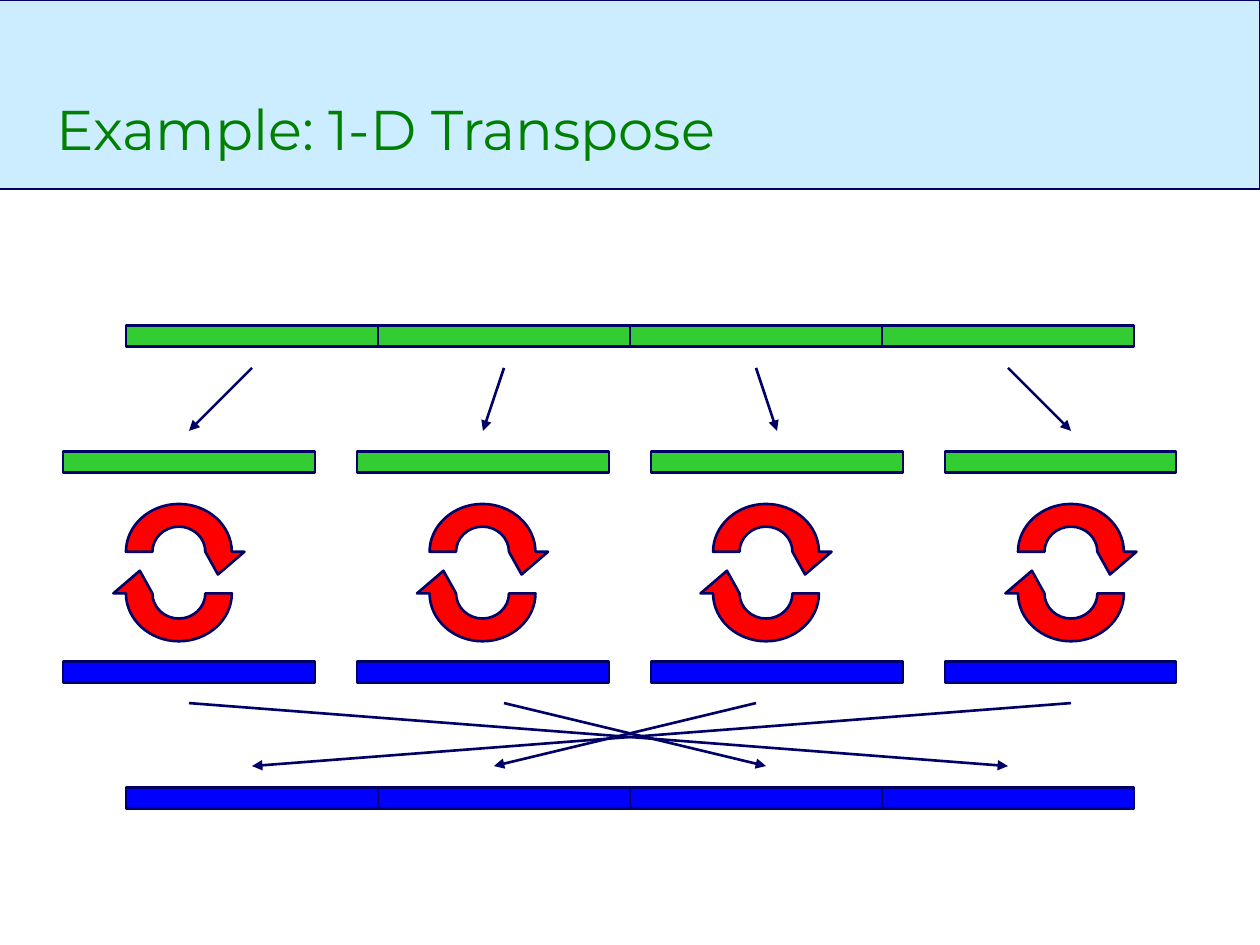
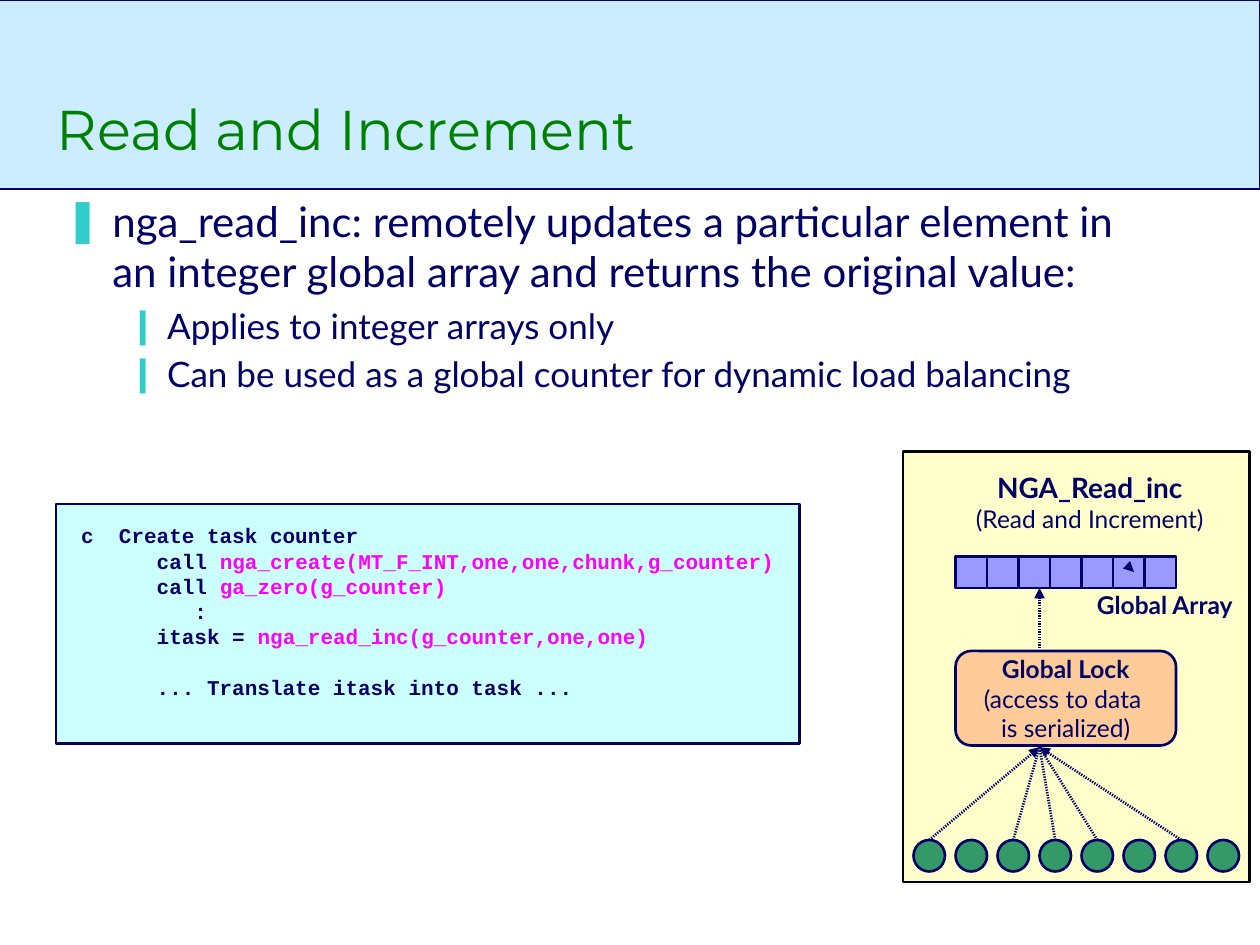
"""Build two slides on global arrays: a 1-D transpose and read-and-increment."""
from typing import Any, NamedTuple, Optional

from lxml import etree
from pptx import Presentation
from pptx import util as u
from pptx.dml import color
from pptx.enum import shapes, text
from pptx.oxml import ns

HUES = {
    "navy": "000066", "black": "000000", "title": "008000", "band": "CCECFF",
    "green": "33CC33", "blue": "0000FF", "red": "FF0000", "bullet": "33CCCC",
    "code": "CCFFFF", "call": "FF00FF", "panel": "FFFFCC", "cell": "9999FF",
    "task": "339966", "lock": "FFCC99",
}
KIND = shapes.MSO_SHAPE
INSETS = ("margin_left", "margin_top", "margin_right", "margin_bottom")
BAR = 1 / 6
STEP = 7 / 3
BEND = 0.55


class Box(NamedTuple):
    """A filled, outlined preset shape."""
    left: float
    top: float
    width: float
    height: float
    fill: Optional[str]
    kind: Any = KIND.RECTANGLE
    edge: str = "navy"


class Wire(NamedTuple):
    """A straight line with an optional arrowhead and dots."""
    start: tuple
    end: tuple
    arrow: bool = True
    dots: bool = False


class Run(NamedTuple):
    """A piece of text with its look."""
    words: str
    size: float
    font: str = "Lato"
    hue: str = "navy"
    bold: bool = False


def shade(hue: str) -> color.RGBColor:
    """Return a named colour."""
    return color.RGBColor.from_string(HUES[hue])


def assign(item: Any, values: dict) -> None:
    """Set each named value on an item."""
    for name, value in values.items():
        setattr(item, name, value)


def ink(item: Any, fill: str, edge: str = "navy") -> Any:
    """Fill and outline a shape without a shadow."""
    item.shadow.inherit = False
    item.fill.solid()
    item.fill.fore_color.rgb = shade(fill)
    item.line.color.rgb = shade(edge)
    item.line.width = u.Pt(1.5)
    return item


def draw(parts: Any, box: Box) -> Any:
    """Add a preset shape."""
    place = map(u.Inches, box[:4])
    return ink(parts.add_shape(box.kind, *place), box.fill, box.edge)


def link(parts: Any, wire: Wire) -> Any:
    """Add a straight line or arrow."""
    ends = map(u.Inches, wire.start + wire.end)
    line = parts.add_connector(shapes.MSO_CONNECTOR.STRAIGHT, *ends)
    line.line.color.rgb = shade("navy")
    line.line.width = u.Pt(1.5)
    frame = line.element.spPr
    stroke = frame.find(ns.qn("a:ln"))
    if wire.dots:
        dash = etree.SubElement(stroke, ns.qn("a:custDash"))
        etree.SubElement(dash, ns.qn("a:ds"), d="50000", sp="50000")
    if wire.arrow:
        etree.SubElement(stroke, ns.qn("a:tailEnd"), type="triangle")
    etree.SubElement(frame, ns.qn("a:effectLst"))
    return line


def write(item: Any, lines: list, pads: tuple, align: Any = text.PP_ALIGN.LEFT,
          anchor: Any = text.MSO_ANCHOR.TOP) -> Any:
    """Fill a text frame with paragraphs of runs."""
    frame = item.text_frame
    assign(frame, {"word_wrap": True, "auto_size": text.MSO_AUTO_SIZE.NONE,
                   "vertical_anchor": anchor, **dict(zip(INSETS, map(u.Inches, pads)))})
    for i, runs in enumerate(lines):
        para = frame.add_paragraph() if i else frame.paragraphs[0]
        assign(para, {"alignment": align, "space_before": u.Pt(0)})
        for run in runs:
            piece = para.add_run()
            piece.text = run.words
            assign(piece.font, {"size": u.Pt(run.size), "name": run.font, "bold": run.bold})
            piece.font.color.rgb = shade(run.hue)
    return frame


def move(item: Any, *place: float) -> None:
    """Put an item at left, top, width and height in inches."""
    assign(item, dict(zip(("left", "top", "width", "height"), map(u.Inches, place))))


def start(deck: Any, layout: int, words: str) -> Any:
    """Add a slide with its title."""
    slide = deck.slides.add_slide(deck.slide_layouts[layout])
    title = slide.shapes.title
    move(title, 0.35, 0.25, 8.31, 1.08)
    write(title, [[Run(words, 32, "Montserrat", "title")]], (0.1, 0.05, 0.1, 0.05),
          anchor=text.MSO_ANCHOR.BOTTOM)
    return slide


def band(deck: Any, parts: Any) -> None:
    """Put the title band on the slide master."""
    strip = draw(parts, Box(-0.03, 0, 10.03, 1.5, "band"))
    deck.slide_master.placeholders[0].element.addprevious(strip.element)


def whole(parts: Any, top: float, fill: str) -> None:
    """Draw a full array split in four."""
    draw(parts, Box(1, top, 8, BAR, fill))
    for x in (3, 5, 7):
        link(parts, Wire((x, top), (x, top + BAR), arrow=False))


def arch(wide: float, high: float) -> list:
    """Return the ends and handles of a half ellipse, from right to left."""
    right = [(wide, 0), (wide, -BEND * high), (BEND * wide, -high)]
    return right + [(0, -high)] + [(-x, y) for x, y in reversed(right)]


def curve(item: Any, first: int) -> None:
    """Join three line steps of an outline into one curve."""
    steps = list(item.element.iter(ns.qn("a:lnTo"), ns.qn("a:cubicBezTo")))
    bend = etree.Element(ns.qn("a:cubicBezTo"))
    steps[first].addprevious(bend)
    for step in steps[first:first + 3]:
        bend.append(step[0])
        step.getparent().remove(step)


def turn(parts: Any, x: float, y: float, sign: int) -> None:
    """Draw a half-ring arrow, turned upside down if the sign is -1."""
    head = [(0.52, 0), (0.31, 0.18), (0.1, 0)]
    marks = arch(0.21, 0.2) + arch(0.42, 0.38)[::-1] + head
    spots = [(u.Inches(x + sign * dx), u.Inches(y + sign * dy)) for dx, dy in marks]
    outline = parts.build_freeform(*spots[0])
    outline.add_line_segments(spots[1:-1], close=True)
    item = ink(outline.convert_to_shape(), "red")
    for first in (0, 1, 3, 4):
        curve(item, first)


def transpose(deck: Any) -> None:
    """Build the transpose slide."""
    parts = start(deck, 5, "Example: 1-D Transpose").shapes
    band(deck, parts)
    whole(parts, 31 / 12, "green")
    for top, fill in ((43 / 12, "green"), (5.25, "blue")):
        for i in range(4):
            draw(parts, Box(0.5 + i * STEP, top, 2 if i < 3 else 11 / 6, BAR, fill))
    for x in (1.42, 3.83, 6.08, 8.5):
        turn(parts, x, 4.38, 1)
        turn(parts, x, 4.71, -1)
    for i in range(4):
        link(parts, Wire((2 + 2 * i, 2.92), (1.5 + i * STEP, 3.42)))
    whole(parts, 6.25, "blue")
    for x, goal in ((1.5, 8), (8.5, 2), (4, 6.08), (6, 3.92)):
        link(parts, Wire((x, 5.58), (goal, 6.08)))


def bullet(para: Any, mark: str, left: float, hang: float) -> None:
    """Give a paragraph a coloured bullet and a hanging indent."""
    props = para._p.get_or_add_pPr()
    props.set("marL", str(u.Inches(left)))
    props.set("indent", str(-u.Inches(hang)))
    tint = etree.SubElement(props, ns.qn("a:buClr"))
    etree.SubElement(tint, ns.qn("a:srgbClr"), val=HUES["bullet"])
    etree.SubElement(props, ns.qn("a:buChar"), char=mark)


def points(body: Any) -> None:
    """Write the bullet list."""
    move(body, 5 / 12, 1.5, 8.58, 5.58)
    frame = write(body, [
        [Run("nga_read_inc: remotely updates a particular element in an integer "
             "global array and returns the original value:", 24)],
        [Run("Applies to integer arrays only", 20)],
        [Run("Can be used as a global counter for dynamic load balancing", 20)],
    ], (0.1, 0.05, 0.1, 0.05))
    first, *rest = frame.paragraphs
    bullet(first, "❚", 3 / 8, 3 / 8)
    for para, gap in zip(rest, (5, 3.5)):
        assign(para, {"level": 1, "space_before": u.Pt(gap)})
        bullet(para, "❙", 0.81, 0.31)


def listing(parts: Any) -> None:
    """Draw the code box."""
    rows = [
        ("c  Create task counter", ""),
        ("      call ", "nga_create(MT_F_INT,one,one,chunk,g_counter)"),
        ("      call ", "ga_zero(g_counter)"),
        ("         :", ""),
        ("      itask = ", "nga_read_inc(g_counter,one,one)"),
        ("      ... Translate itask into task ...", ""),
    ]
    lines = [[Run(words, 12, "Courier New", hue, True)
              for words, hue in zip(row, ("navy", "call")) if words] for row in rows]
    box = draw(parts, Box(4 / 9, 4, 5.9, 1.9, "code"))
    frame = write(box, lines, (0.2, 0.15, 0.1, 0.15))
    for para in frame.paragraphs:
        para.line_spacing = u.Pt(14.4)
    frame.paragraphs[-1].space_before = u.Pt(14.4)


def label(parts: Any, place: tuple, lines: list, pads: tuple) -> None:
    """Add a centred text box."""
    box = parts.add_textbox(*map(u.Inches, place))
    write(box, lines, pads, text.PP_ALIGN.CENTER)


def panel(parts: Any) -> None:
    """Draw the lock diagram."""
    draw(parts, Box(43 / 6, 43 / 12, 2.75, 41 / 12, "panel", edge="black"))
    for i in range(7):
        draw(parts, Box(91 / 12 + i / 4, 53 / 12, 0.25, 0.25, "cell"))
    tasks = [draw(parts, Box(7.25 + i / 3, 20 / 3, 0.25, 0.25, "task", KIND.OVAL))
             for i in range(8)]
    link(parts, Wire((8.99, 4.53), (9, 4.54)))
    for i in (0, 6, 2, 4, 3):
        wire = Wire((7.38 + i / 3, 6.66), (8.25, 5.93), arrow=i in (0, 6), dots=True)
        link(parts, wire).begin_connect(tasks[i], 0)
    lock = draw(parts, Box(91 / 12, 31 / 6, 1.75, 0.75, "lock", KIND.ROUNDED_RECTANGLE))
    write(lock, [[Run("Global Lock", 14, bold=True)], [Run("(access to data ", 14)],
                 [Run("is serialized)", 14)]], (0.1, 0, 0.1, 0),
          text.PP_ALIGN.CENTER, text.MSO_ANCHOR.MIDDLE)
    link(parts, Wire((8.25, 31 / 6), (8.25, 14 / 3), dots=True))
    label(parts, (7.46, 43 / 12, 2.38, 0.8),
          [[Run("NGA_Read_inc", 16, bold=True)], [Run("(Read and Increment)", 14)]],
          (0.2, 0.15, 0.2, 0.15))
    label(parts, (8.41, 4.68, 1.67, 0.23), [[Run("Global Array", 14, bold=True)]],
          (0, 0, 0, 0))


def counter(deck: Any) -> None:
    """Build the read-and-increment slide."""
    slide = start(deck, 1, "Read and Increment")
    points(slide.placeholders[1])
    listing(slide.shapes)
    panel(slide.shapes.add_group_shape().shapes)


def main() -> None:
    """Build and save the deck."""
    deck = Presentation()
    assign(deck, {"slide_width": u.Inches(10), "slide_height": u.Inches(7.5)})
    transpose(deck)
    counter(deck)
    deck.save("out.pptx")


if __name__ == "__main__":
    main()
